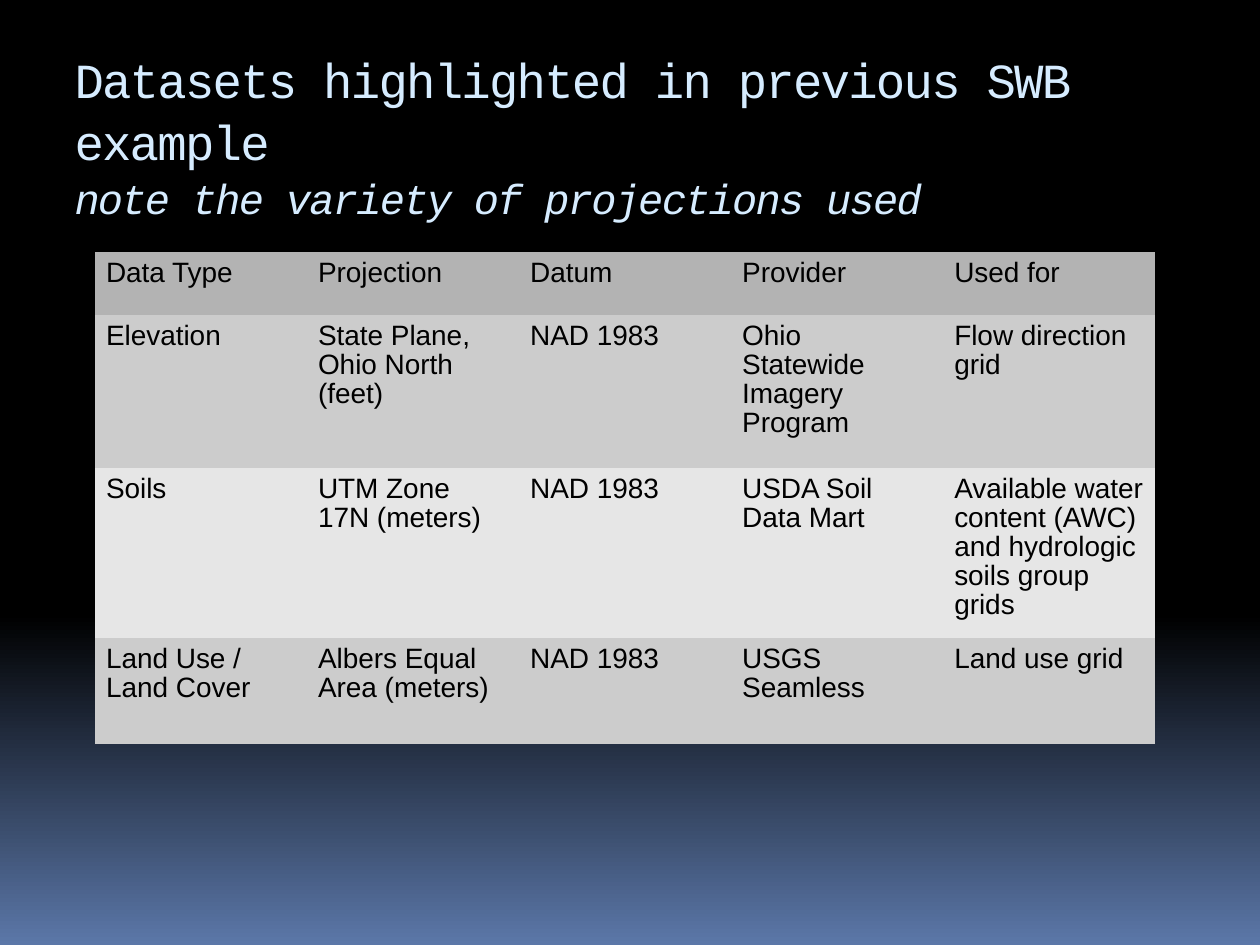
from lxml import etree
from pptx import Presentation
from pptx.dml.color import RGBColor
from pptx.enum import text
from pptx.oxml import ns
from pptx.util import Pt

BLACK = RGBColor(0x00, 0x00, 0x00)
WHITE = RGBColor(0xFF, 0xFF, 0xFF)
HORIZON_BLUE = RGBColor(0x5B, 0x77, 0xA8)
TITLE_BLUE = RGBColor(0xD6, 0xEC, 0xFF)
HEADER_GRAY = RGBColor(0xB3, 0xB3, 0xB3)
BAND_GRAYS = (RGBColor(0xCC, 0xCC, 0xCC), RGBColor(0xE6, 0xE6, 0xE6))

DATASETS = [
    ("Data Type", "Projection", "Datum", "Provider", "Used for"),
    ("Elevation", "State Plane, Ohio North (feet)", "NAD 1983",
     "Ohio Statewide Imagery Program", "Flow direction grid"),
    ("Soils", "UTM Zone 17N (meters)", "NAD 1983", "USDA Soil Data Mart",
     "Available water content (AWC) and hydrologic soils group grids"),
    ("Land Use / Land Cover", "Albers Equal Area (meters)", "NAD 1983",
     "USGS Seamless", "Land use grid"),
]
ROW_HEIGHTS = (36, 87.2, 62, 60.5)
COLUMN_WIDTH = 121.2


def add_text(paragraph, wording, *, font, size, color, italic=False, tracking=0):
    run = paragraph.add_run()
    run.text = wording
    run.font.name = font
    run.font.size = Pt(size)
    run.font.color.rgb = color
    run.font.italic = italic
    if tracking:
        run.font._element.set("spc", str(tracking * 100))


def set_background(slide):
    fill = slide.background.fill
    fill.gradient()
    fill.gradient_angle = 270
    for stop, position, color in zip(fill.gradient_stops, (0.65, 1), (BLACK, HORIZON_BLUE)):
        stop.position = position
        stop.color.rgb = color


def set_margins(holder, top):
    holder.margin_left = holder.margin_right = Pt(6.6)
    holder.margin_top = Pt(top)
    holder.margin_bottom = Pt(3.6)


def add_title(slide):
    frame = slide.shapes.add_textbox(Pt(36), Pt(18.7), Pt(648), Pt(89.3)).text_frame
    frame.word_wrap = True
    frame.vertical_anchor = text.MSO_ANCHOR.TOP
    set_margins(frame, top=8)
    heading = frame.paragraphs[0]
    heading.line_spacing = 1.05
    style = dict(font="Courier New", color=TITLE_BLUE, tracking=-1)
    add_text(heading, "Datasets highlighted in previous SWB example", size=28, **style)
    heading.add_line_break()
    add_text(heading, "note the variety of projections used", size=24, italic=True, **style)


def set_hairlines(cell):
    # Borders must come before the fill in the cell properties
    properties = cell._tc.get_or_add_tcPr()
    for index, side in enumerate(("lnL", "lnR", "lnT", "lnB")):
        line = etree.Element(ns.qn(f"a:{side}"), w=str(Pt(0.03)))
        solid = etree.SubElement(line, ns.qn("a:solidFill"))
        etree.SubElement(solid, ns.qn("a:srgbClr"), val=str(WHITE))
        properties.insert(index, line)


def fill_cell(cell, wording, color):
    cell.fill.solid()
    cell.fill.fore_color.rgb = color
    set_hairlines(cell)
    set_margins(cell, top=4.4)
    paragraph = cell.text_frame.paragraphs[0]
    paragraph.line_spacing = 0.93
    add_text(paragraph, wording, font="Arial", size=16, color=BLACK)


def add_dataset_table(slide):
    columns = len(DATASETS[0])
    table = slide.shapes.add_table(
        len(DATASETS), columns, Pt(54), Pt(144),
        Pt(COLUMN_WIDTH * columns), Pt(sum(ROW_HEIGHTS))).table
    table.first_row = table.horz_banding = False
    for column in table.columns:
        column.width = Pt(COLUMN_WIDTH)
    for r, (dataset, height) in enumerate(zip(DATASETS, ROW_HEIGHTS)):
        table.rows[r].height = Pt(height)
        color = BAND_GRAYS[(r - 1) % 2] if r else HEADER_GRAY
        for c, wording in enumerate(dataset):
            fill_cell(table.cell(r, c), wording, color)


def main():
    deck = Presentation()
    deck.slide_width, deck.slide_height = Pt(720), Pt(540)
    slide = deck.slides.add_slide(deck.slide_layouts[6])
    set_background(slide)
    add_title(slide)
    add_dataset_table(slide)
    deck.save("out.pptx")


if __name__ == "__main__":
    main()
